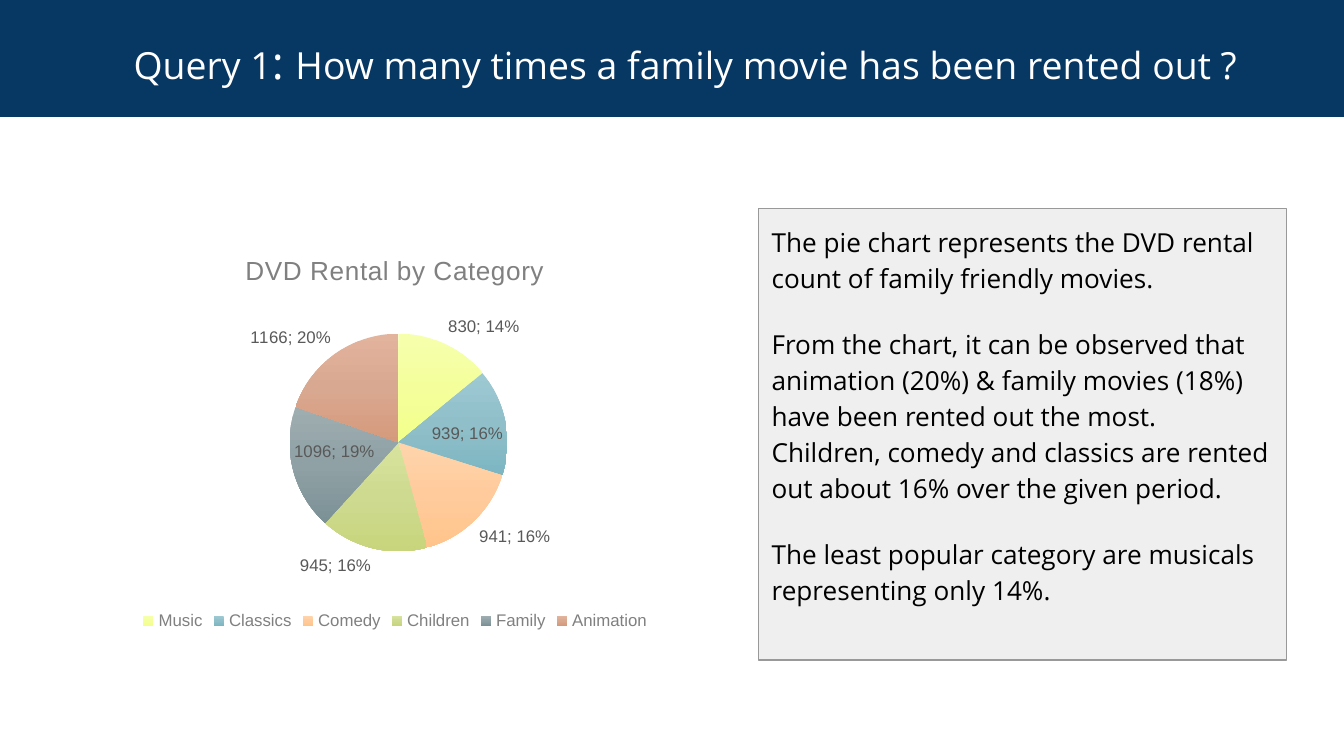
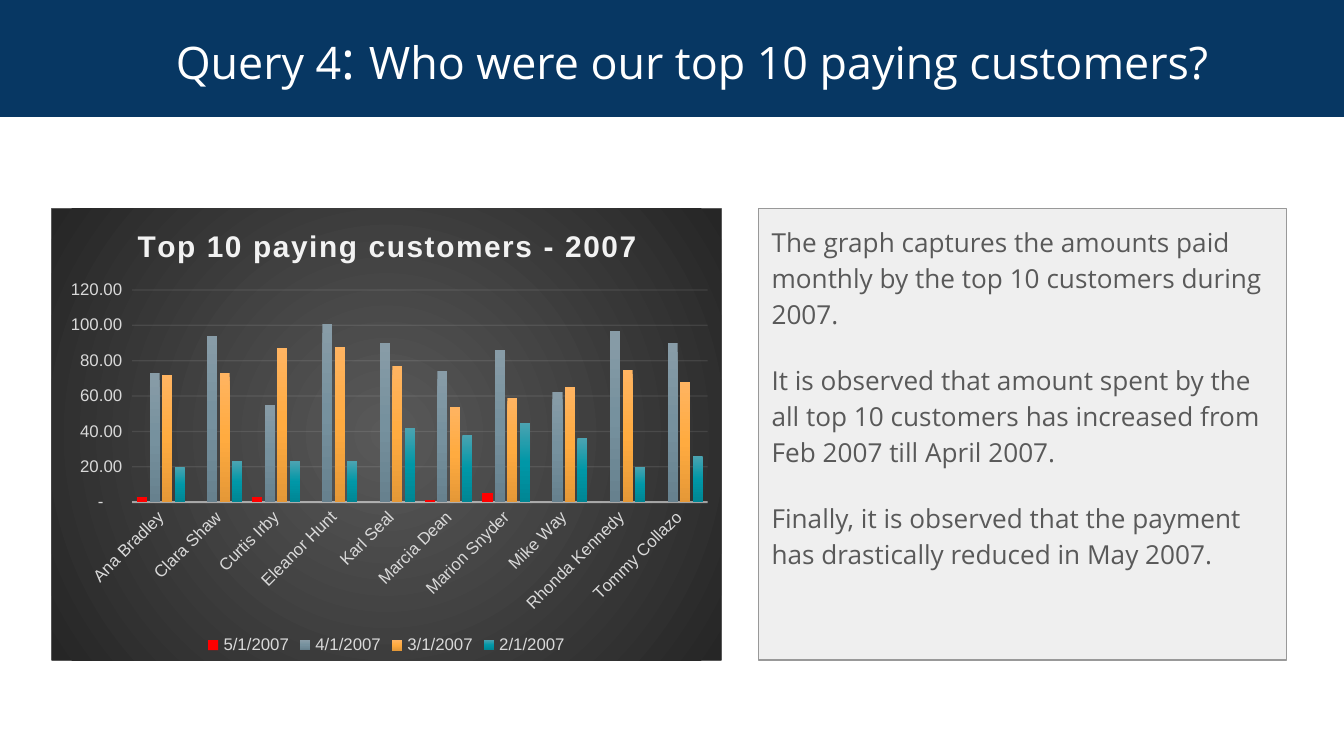
from lxml.etree import SubElement as Sub
from pptx import Presentation
from pptx.chart.data import CategoryChartData as Data
from pptx.dml.color import RGBColor as Rgb
from pptx.enum.chart import XL_CHART_TYPE as Kind
from pptx.enum.chart import XL_LABEL_POSITION as Spot
from pptx.enum.chart import XL_LEGEND_POSITION as Side
from pptx.enum.chart import XL_TICK_MARK as Tick
from pptx.enum.shapes import MSO_SHAPE as Form
from pptx.enum.text import MSO_ANCHOR as Anchor
from pptx.enum.text import PP_ALIGN as Align
from pptx.oxml.ns import qn
from pptx.util import Inches, Pt

# The grid has 100 columns; rows are as tall as columns are wide.
UNIT = Inches(0.1)
COLS, ROWS = 100, 56.25
BAND = (0, 0, COLS, 8.7)
TOP, TALL = 15.53, 33.6
LEFT = (3.86, TOP, 49.8, TALL)
RIGHT = (56.43, TOP, 39.3, TALL)
PIE = (4.4, 17.33, 50, 30)

NAVY = Rgb(0x07, 0x37, 0x63)
WHITE = Rgb(0xFF, 0xFF, 0xFF)
BLACK = Rgb(0x00, 0x00, 0x00)
PALE = Rgb(0xEF, 0xEF, 0xEF)
LIGHT = Rgb(0xEE, 0xEE, 0xEE)
EDGE = Rgb(0x99, 0x99, 0x99)
DARK = Rgb(0x59, 0x59, 0x59)
COAL = Rgb(0x26, 0x26, 0x26)
GRAY = Rgb(0x80, 0x80, 0x80)
SILVER = Rgb(0xD9, 0xD9, 0xD9)
SNOW = Rgb(0xF2, 0xF2, 0xF2)
RED = Rgb(0xFF, 0x00, 0x00)


def shades(*codes):
    return [Rgb.from_string(code) for code in codes]


SLICES = [
    ("Music", 830, shades("F6FFAC", "F4FF9C", "F2FF8B")),
    ("Classics", 939, shades("9DC9D3", "90BFC9", "7CB6C2")),
    ("Comedy", 941, shades("FFD4AB", "FFCB9C", "FFC48B")),
    ("Children", 945, shades("D8E39D", "CEDA90", "C8D57C")),
    ("Family", 1096, shades("9DADB0", "90A1A5", "7C9196")),
    ("Animation", 1166, shades("E2B39D", "D9A890", "D59A7C")),
]
PAYERS = ["Ana Bradley", "Clara Shaw", "Curtis Irby", "Eleanor Hunt",
          "Karl Seal", "Marcia Dean", "Marion Snyder", "Mike Way",
          "Rhonda Kennedy", "Tommy Collazo"]
MONTHS = [
    ("5/1/2007", [3, None, 3, None, None, 1, 5, None, None, None], [RED]),
    ("4/1/2007", [73, 94, 55, 101, 90, 74, 86, 62, 97, 90],
     shades("889CA7", "76919E", "67818E")),
    ("3/1/2007", [72, 73, 87, 88, 77, 54, 59, 65, 75, 68],
     shades("FFB461", "FFAB40", "E59837")),
    ("2/1/2007", [20, 23, 23, 23, 42, 38, 45, 36, 20, 26],
     shades("4BA3B1", "0097A7", "008694")),
]
MONEY = '_(* #,##0.00_);_(* \\(#,##0.00\\);_(* "-"??_);_(@_)'


def place(cells):
    return [round(n * UNIT) for n in cells]


def style(font, name, size, color, bold=False):
    font.name, font.size, font.bold = name, Pt(size), bold
    font.color.rgb = color


def add_box(slide, cells, fill, edge=None):
    box = slide.shapes.add_shape(Form.RECTANGLE, *place(cells))
    box.shadow.inherit = False
    box.fill.solid()
    box.fill.fore_color.rgb = fill
    if edge is None:
        box.line.fill.background()
    else:
        box.line.color.rgb = edge
        box.line.width = Pt(0.75)
    frame = box.text_frame
    frame.word_wrap = True
    frame.margin_left = frame.margin_right = UNIT
    frame.margin_top = frame.margin_bottom = UNIT
    return frame


def add_title(slide, label, words, size, shift, drop=0):
    """Band title; shift and drop nudge the text right and down."""
    frame = add_box(slide, BAND, NAVY)
    frame.vertical_anchor = Anchor.MIDDLE
    frame.margin_left = round((1 + shift) * UNIT)
    frame.margin_top = round((1 + drop) * UNIT)
    para = frame.paragraphs[0]
    para.alignment = Align.CENTER
    for text, points in ((label, size), (": ", size + 4), (words, size)):
        run = para.add_run()
        run.text = text
        style(run.font, "Open Sans", points, WHITE)


def add_notes(slide, lines, color):
    frame = add_box(slide, RIGHT, PALE, EDGE)
    frame.vertical_anchor = Anchor.TOP
    frame.margin_right = round(1.2 * UNIT)
    frame.text = "\n".join(lines)
    for para in frame.paragraphs:
        para.alignment = Align.LEFT
        para.line_spacing = 1.15
        para.space_after = Pt(16)
        style(para.runs[0].font, "Open Sans", 14, color)


def add_stops(parent, colors):
    grad = Sub(parent, qn("a:gradFill"), rotWithShape="1")
    stops = Sub(grad, qn("a:gsLst"))
    for i, color in enumerate(colors):
        spot = 100000 * i // (len(colors) - 1)
        stop = Sub(stops, qn("a:gs"), pos=str(spot))
        Sub(stop, qn("a:srgbClr"), val=str(color))
    return grad


def paint(item, colors):
    """Fill a point or series with one colour or a downward gradient."""
    form = item.format
    form.fill.solid()
    form.fill.fore_color.rgb = colors[0]
    if len(colors) > 1:
        props = form._element.get_or_add_spPr()
        grad = add_stops(props, colors)
        Sub(grad, qn("a:lin"), ang="5400000", scaled="0")
        props.replace(props.find(qn("a:solidFill")), grad)


def glow(chart, colors):
    """Fill the chart's back with a round gradient."""
    body = chart._chartSpace.find(qn("c:chart"))
    props = Sub(chart._chartSpace, qn("c:spPr"))
    body.addnext(props)
    ring = Sub(add_stops(props, colors), qn("a:path"), path="circle")
    Sub(ring, qn("a:fillToRect"), l="50000", t="50000", r="50000", b="50000")
    Sub(Sub(props, qn("a:ln")), qn("a:noFill"))


def fade(line, color, width, share):
    line.color.rgb = color
    line.width = Pt(width)
    tint = line._get_or_add_ln().find(".//" + qn("a:srgbClr"))
    Sub(tint, qn("a:alpha"), val=str(share * 1000))


def pin(owner, after, inner=False, **spots):
    """Fix a chart part at shares of the chart's size."""
    for old in owner.findall(qn("c:layout")):
        owner.remove(old)
    layout = Sub(owner, qn("c:layout"))
    if after is None:
        owner.insert(0, layout)
    else:
        owner.find(qn(after)).addnext(layout)
    hand = Sub(layout, qn("c:manualLayout"))
    if inner:
        Sub(hand, qn("c:layoutTarget"), val="inner")
    for key in "xy":
        Sub(hand, qn(f"c:{key}Mode"), val="edge")
    for key, share in spots.items():
        Sub(hand, qn(f"c:{key}"), val=str(share))


def add_chart(slide, kind, cells, cats, rows, color):
    data = Data()
    data.categories = cats
    for name, vals in rows:
        data.add_series(name, vals)
    chart = slide.shapes.add_chart(kind, *place(cells), data).chart
    style(chart.font, "Arial", 10, BLACK)
    chart.has_legend = True
    chart.legend.position = Side.BOTTOM
    chart.legend.include_in_layout = False
    style(chart.legend.font, "Arial", 9, color)
    return chart


def name_chart(chart, text, size, color, bold, gap, x, y):
    chart.has_title = True
    frame = chart.chart_title.text_frame
    frame.text = text
    run = frame.paragraphs[0].runs[0]
    style(run.font, "Arial", size, color, bold)
    run.font._element.set("spc", str(gap))
    pin(chart.chart_title._element, "c:tx", x=x, y=y)


def add_pie(slide):
    cats, vals, fills = zip(*SLICES)
    chart = add_chart(slide, Kind.PIE, PIE, cats, [("Series 1", vals)], GRAY)
    name_chart(chart, "DVD Rental by Category", 14, GRAY, False, 20,
               0.27, 0.04)
    area = chart._chartSpace.find(".//" + qn("c:plotArea"))
    pin(area, None, True, x=0.34, y=0.25, w=0.33, h=0.54)
    plot = chart.plots[0]
    plot.vary_by_categories = True
    for i, fill in enumerate(fills):
        paint(plot.series[0].points[i], fill)
    plot.has_data_labels = True
    tags = plot.data_labels
    tags.show_value = tags.show_percentage = True
    tags.position = Spot.BEST_FIT
    style(tags.font, "Arial", 9, DARK)
    mark = Sub(tags._element, qn("c:separator"))
    mark.text = "; "
    tags._element.find(qn("c:showBubbleSize")).addnext(mark)


def add_bars(slide):
    rows = [month[:2] for month in MONTHS]
    chart = add_chart(slide, Kind.COLUMN_CLUSTERED, LEFT, PAYERS, rows, SILVER)
    name_chart(chart, "Top 10 paying customers - 2007", 16, SNOW, True,
               100, 0.12, 0.03)
    area = chart._chartSpace.find(".//" + qn("c:plotArea"))
    pin(area, None, True, x=0.12, y=0.18, w=0.86, h=0.47)
    glow(chart, [DARK, COAL])
    plot = chart.plots[0]
    plot.vary_by_categories = False
    plot.gap_width, plot.overlap = 100, -24
    for bars, month in zip(plot.series, MONTHS):
        paint(bars, month[2])
        bars.invert_if_negative = False
    base, scale = chart.category_axis, chart.value_axis
    for axis in (base, scale):
        axis.major_tick_mark = axis.minor_tick_mark = Tick.NONE
        style(axis.tick_labels.font, "Arial", 9, SILVER)
    fade(base.format.line, SNOW, 1, 54)
    turn = base._element.find(qn("c:txPr")).find(qn("a:bodyPr"))
    turn.set("rot", "-2700000")
    scale.minimum_scale, scale.maximum_scale = 0, 120
    scale.major_unit = 20
    scale.tick_labels.number_format = MONEY
    scale.tick_labels.number_format_is_linked = False
    scale.format.line.fill.background()
    scale.has_major_gridlines = True
    fade(scale.major_gridlines.format.line, SNOW, 0.75, 10)


def main():
    deck = Presentation()
    deck.slide_width, deck.slide_height = place((COLS, ROWS))
    blank = deck.slide_layouts[6]

    slide = deck.slides.add_slide(blank)
    add_notes(slide, [
        "The pie chart represents the DVD rental count of family friendly "
        "movies.",
        "From the chart, it can be observed that animation (20%) & family "
        "movies (18%) have been rented out the most. Children, comedy and "
        "classics are rented out about 16% over the given period.",
        "The least popular category are musicals representing only 14%.",
    ], BLACK)
    add_title(slide, "Query 1",
              "How many times a family movie has been rented out ?",
              20, 2, 0.4)
    add_pie(slide)

    slide = deck.slides.add_slide(blank)
    add_notes(slide, [
        "The graph captures the amounts paid monthly by the top 10 customers "
        "during 2007.",
        "It is observed that amount spent by the all top 10 customers has "
        "increased from Feb 2007 till April 2007.",
        "Finally, it is observed that the payment has drastically reduced in "
        "May 2007.",
    ], DARK)
    add_box(slide, LEFT, LIGHT, DARK)
    add_title(slide, "Query 4", "Who were our top 10 paying customers?", 24, 3)
    add_bars(slide)

    deck.save("out.pptx")


if __name__ == "__main__":
    main()
